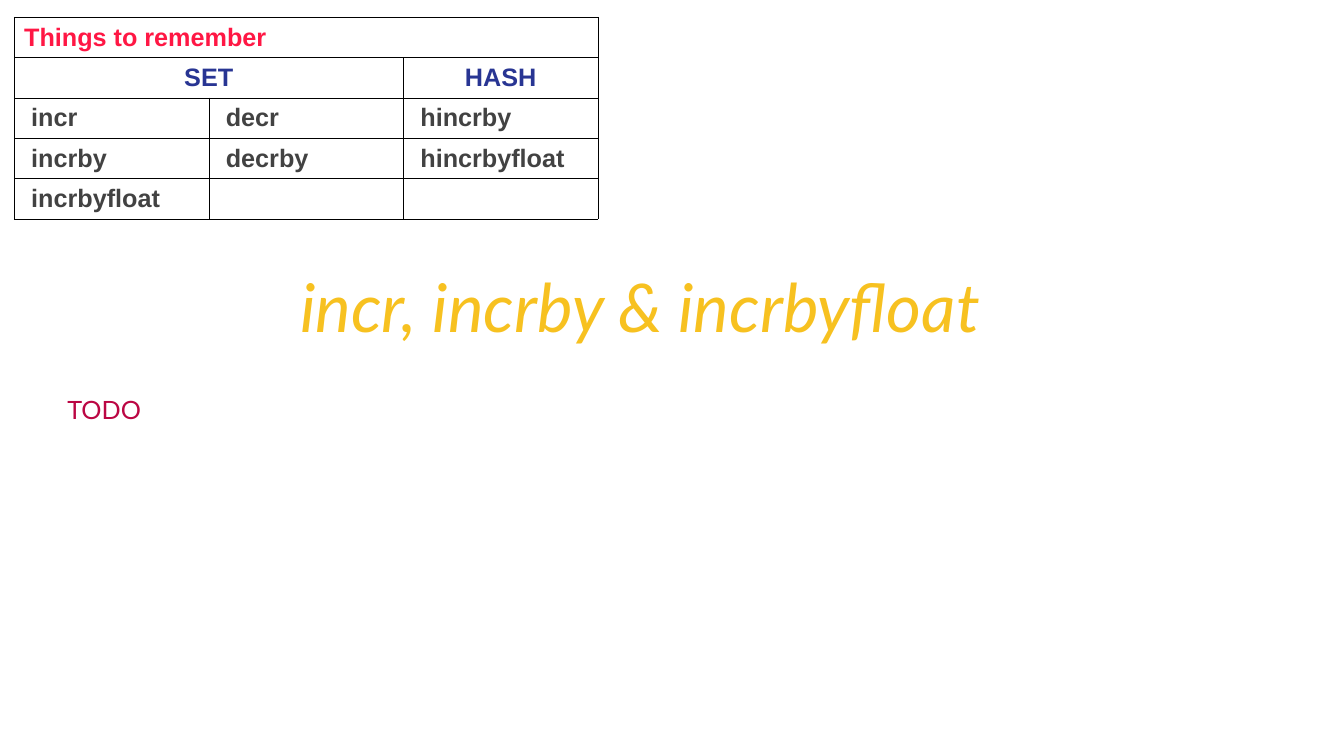
"""Build a slide on increment commands with a table of things to remember."""
from lxml import etree
from pptx import Presentation
from pptx.dml.color import RGBColor
from pptx.enum.text import MSO_ANCHOR, PP_ALIGN
from pptx.oxml.ns import qn
from pptx.util import Inches, Pt

LEFT, CENTER, JUST = PP_ALIGN.LEFT, PP_ALIGN.CENTER, PP_ALIGN.JUSTIFY
MIDDLE = MSO_ANCHOR.MIDDLE

TEXTS = [
    ("incr, incrby & incrbyfloat", (1.23, 2.58, 10.24, 0.91), 48, "F7C120", True, CENTER),
    ("TODO", (0.57, 3.86, 12.09, 0.4), 18, "BB0643", False, JUST),
]
ROWS = [
    ["Things to remember", "", ""],
    ["SET", "", "HASH"],
    ["incr", "decr", "hincrby"],
    ["incrby", "decrby", "hincrbyfloat"],
    ["incrbyfloat", "", ""],
]
SPANS = [(0, 0, 2), (1, 0, 1)]
HEADS = [("FF1744", LEFT, 0.1), ("283593", CENTER, 0.1)]
BODY = ("424242", LEFT, 0.17)
COL, ROW = 1.93, 0.4
EDGE, LINE = "000000", Pt(0.34)


def style(para, font, size, color, align, bold=False, italic=False):
    para.alignment = align
    para.font.name, para.font.size = font, Pt(size)
    para.font.bold, para.font.italic = bold, italic
    para.font.color.rgb = RGBColor.from_string(color)


def border(cell):
    props = cell._tc.get_or_add_tcPr()
    for side in ("a:lnL", "a:lnR", "a:lnT", "a:lnB"):
        line = etree.SubElement(props, qn(side), w=str(LINE))
        fill = etree.SubElement(line, qn("a:solidFill"))
        etree.SubElement(fill, qn("a:srgbClr"), val=EDGE)


def add_text(slide, text, place, size, color, italic, align):
    frame = slide.shapes.add_textbox(*map(Inches, place)).text_frame
    frame.word_wrap = True
    frame.text = text
    style(frame.paragraphs[0], "Lato", size, color, align, italic=italic)


def add_grid(slide):
    count, width = len(ROWS), len(ROWS[0])
    table = slide.shapes.add_table(
        count, width, Inches(0.14), Inches(0.17),
        Inches(COL * width), Inches(ROW * count)).table
    table.first_row = table.horz_banding = False
    for r, row in enumerate(ROWS):
        color, align, inset = HEADS[r] if r < len(HEADS) else BODY
        for c, text in enumerate(row):
            cell = table.cell(r, c)
            cell.text = text
            cell.vertical_anchor = MIDDLE
            cell.margin_left = Inches(inset)
            border(cell)
            cell.fill.background()
            style(cell.text_frame.paragraphs[0], "Arial", 18, color, align, bold=True)
    for r, start, end in SPANS:
        table.cell(r, start).merge(table.cell(r, end))


def main():
    deck = Presentation()
    deck.slide_width, deck.slide_height = Inches(13.33), Inches(7.5)
    slide = deck.slides.add_slide(deck.slide_layouts[6])
    for item in TEXTS:
        add_text(slide, *item)
    add_grid(slide)
    deck.save("out.pptx")


if __name__ == "__main__":
    main()
